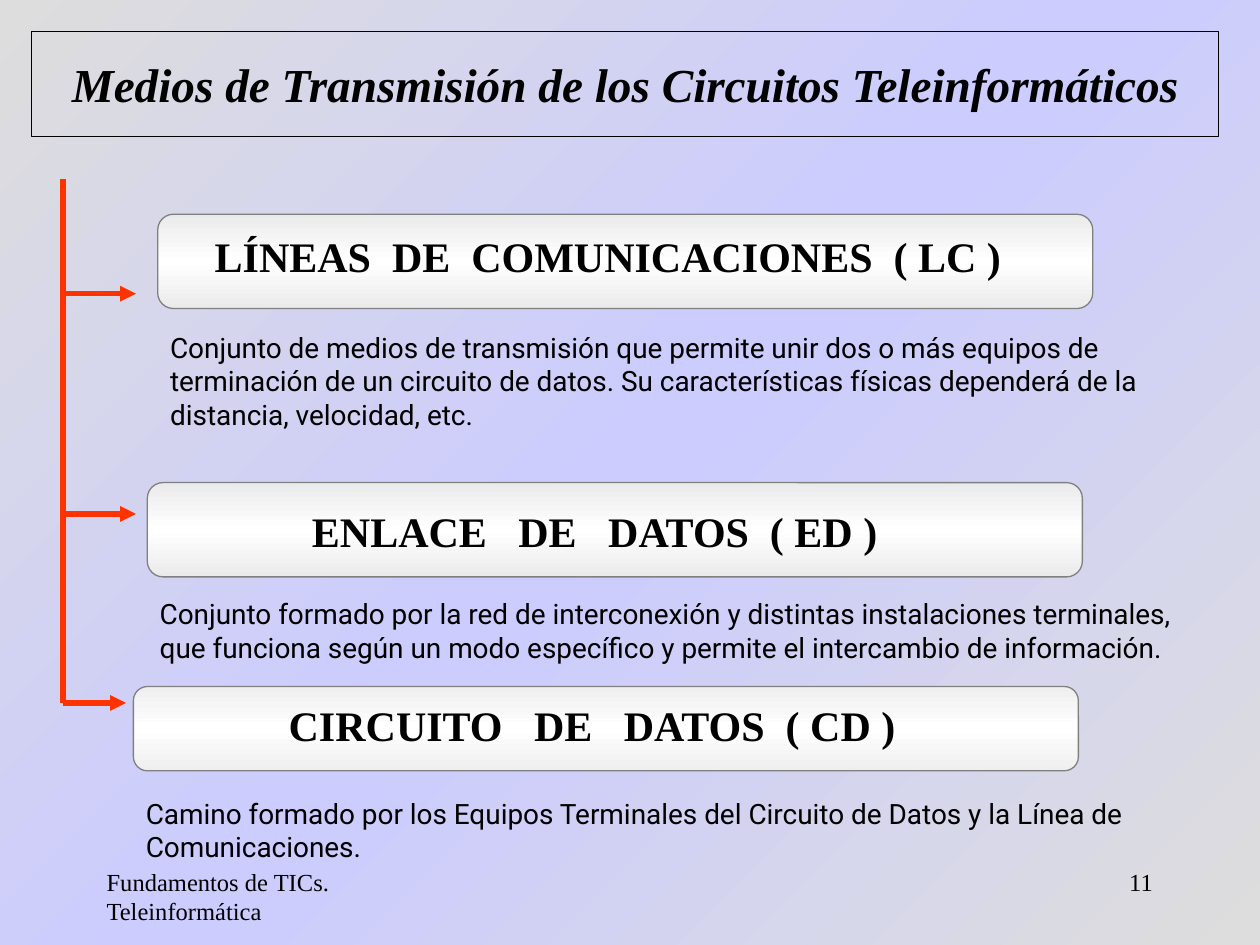
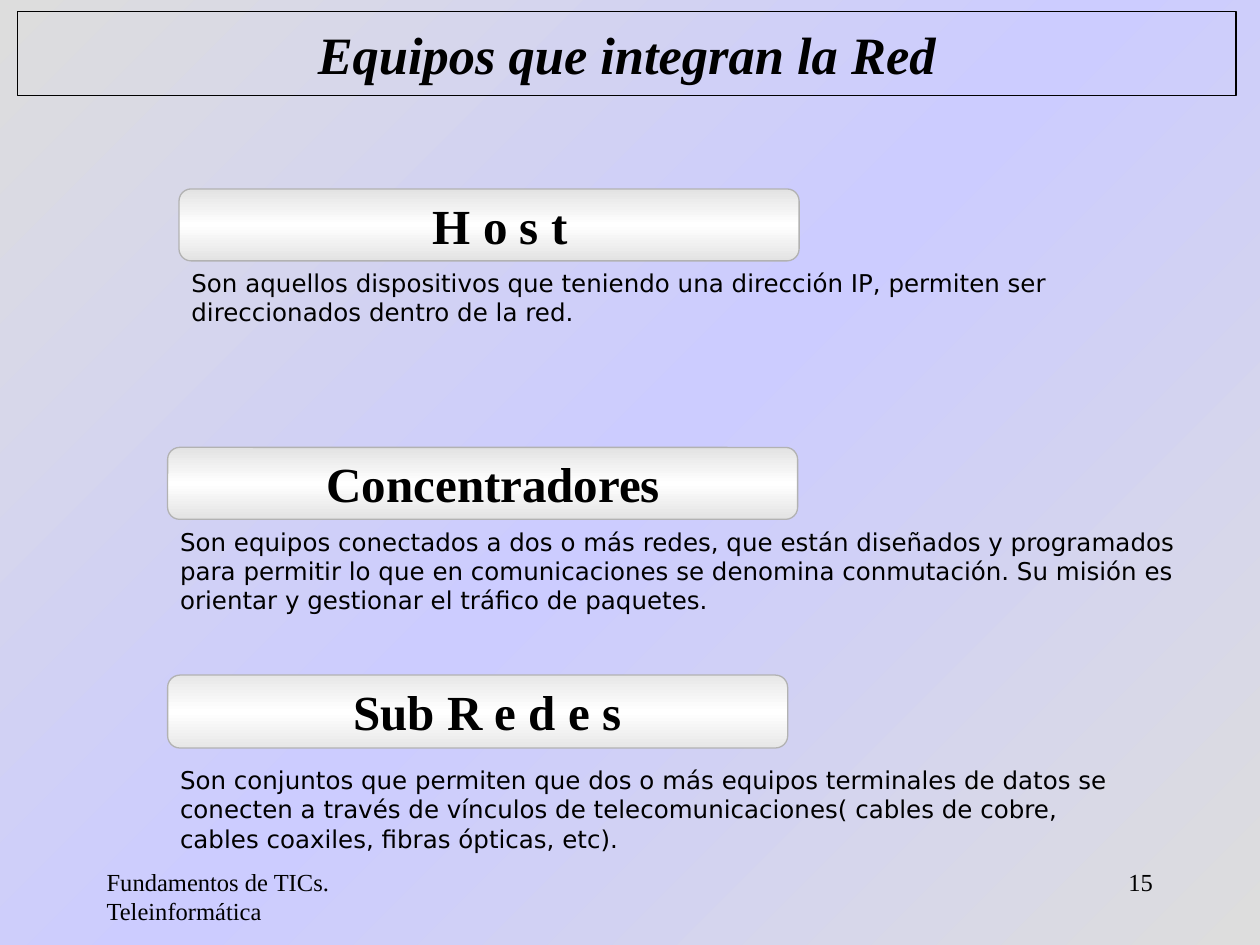
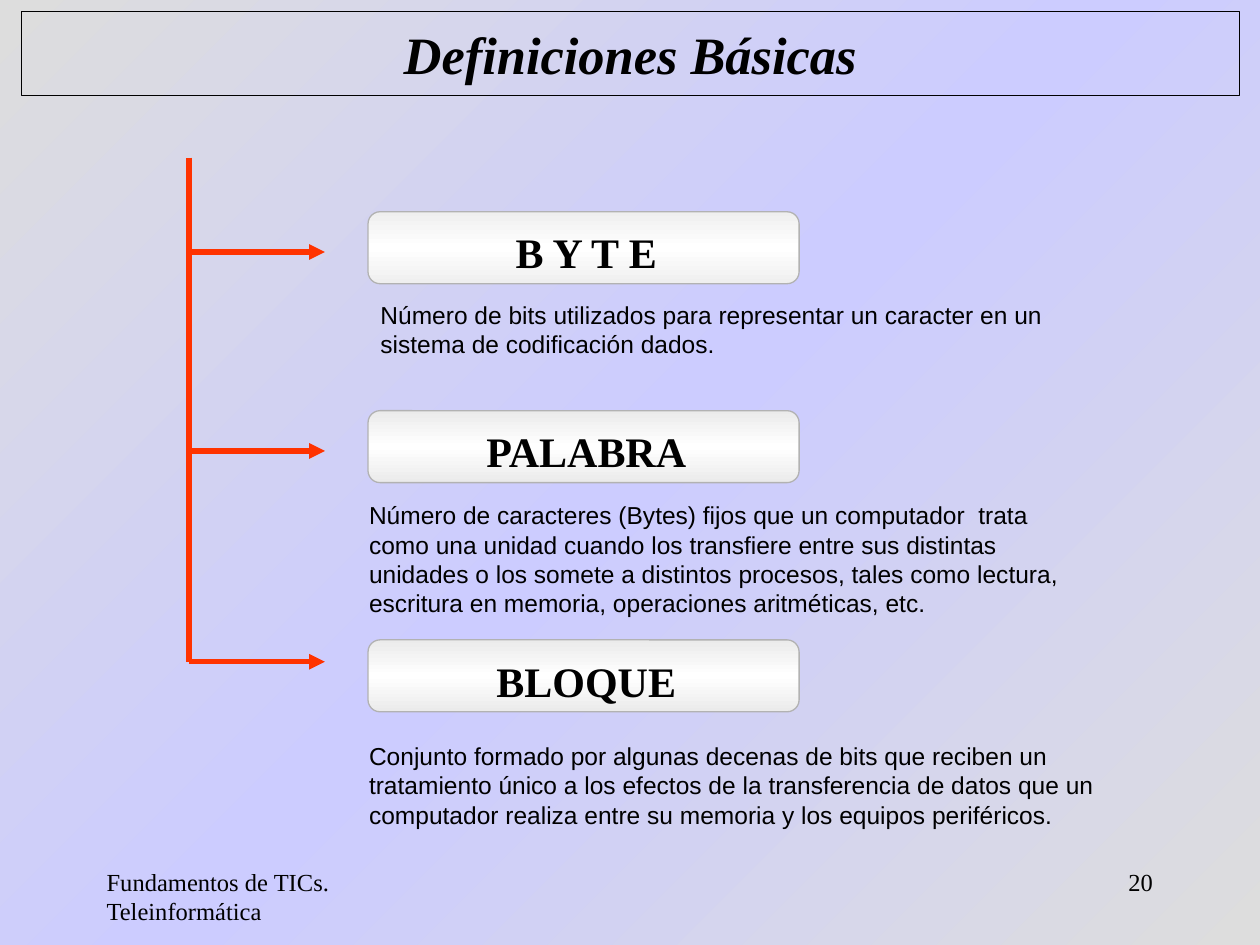
from copy import deepcopy
from pptx import Presentation
from pptx.dml.color import RGBColor
from pptx.enum.shapes import MSO_CONNECTOR, MSO_SHAPE
from pptx.enum.text import MSO_ANCHOR, PP_ALIGN
from pptx.oxml.ns import qn
from pptx.util import Cm, Pt
from lxml.etree import SubElement

BLACK = RGBColor(0x00, 0x00, 0x00)
WHITE = RGBColor(0xFF, 0xFF, 0xFF)
SILVER = RGBColor(0xDD, 0xDD, 0xDD)
LILAC = RGBColor(0xCC, 0xCC, 0xFF)
RED = RGBColor(0xFF, 0x33, 0x00)
DARK = RGBColor(0x80, 0x80, 0x80)
GREY = RGBColor(0xB2, 0xB2, 0xB2)
PALE = RGBColor(0xEB, 0xEB, 0xEB)
PALER = RGBColor(0xEF, 0xEF, 0xEF)
COOL = RGBColor(0xE3, 0xE3, 0xE3)
SOFT = RGBColor(0xE7, 0xE7, 0xE7)
SERIF = "Times New Roman"
LEFT, MID, RIGHT = PP_ALIGN.LEFT, PP_ALIGN.CENTER, PP_ALIGN.RIGHT


def write(shape, text, font, size, align=LEFT, bold=False, slant=False):
    frame = shape.text_frame
    frame.word_wrap = True
    para = frame.paragraphs[0]
    para.text = text
    para.alignment = align
    para.font.name = font
    para.font.size = Pt(size)
    para.font.bold = bold
    para.font.italic = slant
    para.font.color.rgb = BLACK


def shade(fill, root, edge, core, angle):
    fill.gradient()
    fill.gradient_angle = angle
    first, last = fill.gradient_stops
    first.color.rgb = edge
    first.position = 0
    last.color.rgb = core
    last.position = 0.5
    stops = root.find(".//" + qn("a:gsLst"))
    stops.append(deepcopy(stops[0]))
    fill.gradient_stops[2].position = 1


# Each item: pill box, edge colour, label, label box, note, note box
PAGES = [
    dict(
        title="Medios de Transmisión de los Circuitos Teleinformáticos",
        frame=(0.64, 0.64, 23.93, 2.11), size=27, number="11",
        font="Roboto", body=16, head=24, rim=DARK,
        trunk=(1.27, 3.6), arms=[(5.92, 2.74), (10.36, 2.74), (14.17, 2.54)],
        items=[
            ((3.18, 4.32, 18.85, 1.9), PALE,
             "LÍNEAS  DE  COMUNICACIONES  ( LC )", (3.76, 4.52, 16.99, 1.27),
             "Conjunto de medios de transmisión que permite unir dos o más equipos de "
             "terminación de un circuito de datos. Su características físicas dependerá "
             "de la distancia, velocidad, etc.", (3.18, 6.53, 21.39, 2.29)),
            ((2.97, 9.73, 18.85, 1.9), PALE,
             "ENLACE   DE   DATOS  ( ED )", (5.6, 10.06, 12.78, 1.27),
             "Conjunto formado por la red de interconexión y distintas instalaciones "
             "terminales, que funciona según un modo específico y permite el "
             "intercambio de información.", (2.97, 11.91, 21.39, 1.63)),
            ((2.69, 13.84, 19.05, 1.7), PALER,
             "CIRCUITO   DE   DATOS  ( CD )", (3.58, 13.97, 16.71, 1.27),
             "Camino formado por los Equipos Terminales del Circuito de Datos y la "
             "Línea de Comunicaciones.", (2.69, 15.93, 22.02, 1.63)),
        ]),
    dict(
        title="Equipos que integran la Red",
        frame=(0.36, 0.23, 24.56, 1.7), size=30, number="15",
        font="DejaVu Sans", body=14, head=28, rim=GREY,
        trunk=(0, 0), arms=[],
        items=[
            ((3.61, 3.81, 12.5, 1.45), COOL,
             "H o s t", (4.88, 3.81, 10.41, 1.45),
             "Son aquellos dispositivos que teniendo una dirección IP, permiten ser "
             "direccionados dentro de la red.", (3.61, 5.28, 20.52, 1.45)),
            ((3.38, 9.02, 12.7, 1.45), COOL,
             "Concentradores", (4.65, 9.02, 10.59, 1.45),
             "Son equipos conectados a dos o más redes, que están diseñados y "
             "programados para permitir lo que en comunicaciones se denomina "
             "conmutación. Su misión es orientar y gestionar el tráfico de paquetes.",
             (3.38, 10.49, 20.96, 2.03)),
            ((3.38, 13.61, 12.5, 1.47), SOFT,
             "Sub R e d e s", (4.62, 13.61, 10.41, 1.45),
             "Son conjuntos que permiten que dos o más equipos terminales de datos se "
             "conecten a través de vínculos de telecomunicaciones( cables de cobre, "
             "cables coaxiles, fibras ópticas, etc).", (3.38, 15.29, 19.69, 2.03)),
        ]),
    dict(
        title="Definiciones Básicas",
        frame=(0.43, 0.23, 24.56, 1.7), size=30, number="20",
        font="Arial", body=14, head=24, rim=GREY,
        trunk=(3.81, 3.18), arms=[(5.08, 6.55), (9.09, 6.55), (13.34, 6.55)],
        items=[
            ((7.42, 4.27, 8.69, 1.45), PALER,
             "B Y T E", (8.2, 4.45, 7.24, 1.27),
             "Número de bits utilizados para representar un caracter en un sistema de "
             "codificación dados.", (7.42, 5.92, 14.4, 1.45)),
            ((7.42, 8.28, 8.69, 1.45), PALE,
             "PALABRA", (8.2, 8.46, 7.24, 1.27),
             "Número de caracteres (Bytes) fijos que un computador  trata como una "
             "unidad cuando los transfiere entre sus distintas unidades o los somete a "
             "distintos procesos, tales como lectura, escritura en memoria, operaciones "
             "aritméticas, etc.", (7.19, 9.96, 15.04, 2.62)),
            ((7.42, 12.9, 8.69, 1.45), PALE,
             "BLOQUE", (8.2, 13.08, 7.24, 1.27),
             "Conjunto formado por algunas decenas de bits que reciben un tratamiento "
             "único a los efectos de la transferencia de datos que un computador realiza "
             "entre su memoria y los equipos periféricos.", (7.19, 14.81, 15.44, 2.03)),
        ]),
]

deck = Presentation()
deck.slide_width = Cm(25.4)
deck.slide_height = Cm(19.05)

for page in PAGES:
    slide = deck.slides.add_slide(deck.slide_layouts[6])
    shapes = slide.shapes
    shade(slide.background.fill, slide.element, SILVER, LILAC, 315)

    for left, text, align in [
        (1.9, "Fundamentos de TICs. Teleinformática", LEFT),
        (18.21, page["number"], RIGHT),
    ]:
        foot = shapes.add_textbox(Cm(left), Cm(17.35), Cm(5.28), Cm(1.27))
        write(foot, text, SERIF, 14, align)

    for box, edge, label, place, note, area in page["items"]:
        pill = shapes.add_shape(MSO_SHAPE.ROUNDED_RECTANGLE, *map(Cm, box))
        pill.shadow.inherit = False
        shade(pill.fill, pill.element, edge, WHITE, 90)
        pill.line.color.rgb = page["rim"]
        pill.line.width = Pt(0.75)
        head = shapes.add_textbox(*map(Cm, place))
        write(head, label, SERIF, page["head"], MID, bold=True)
        body = shapes.add_textbox(*map(Cm, area))
        write(body, note, page["font"], page["body"])

    x, top = page["trunk"]
    for y, tip in page["arms"]:
        for start, end in [((x, top), (x, y)), ((x, y), (tip, y))]:
            line = shapes.add_connector(
                MSO_CONNECTOR.STRAIGHT, *map(Cm, start + end))
            line.line.color.rgb = RED
            line.line.width = Pt(3)
            SubElement(line.element.spPr, qn("a:effectLst"))
        SubElement(line.line._get_or_add_ln(), qn("a:tailEnd"), type="triangle")
        top = y

    title = shapes.add_shape(MSO_SHAPE.RECTANGLE, *map(Cm, page["frame"]))
    title.shadow.inherit = False
    title.fill.background()
    title.line.color.rgb = BLACK
    title.line.width = Pt(0.75)
    title.text_frame.vertical_anchor = MSO_ANCHOR.MIDDLE
    write(title, page["title"], SERIF, page["size"], MID, bold=True, slant=True)

deck.save("out.pptx")
